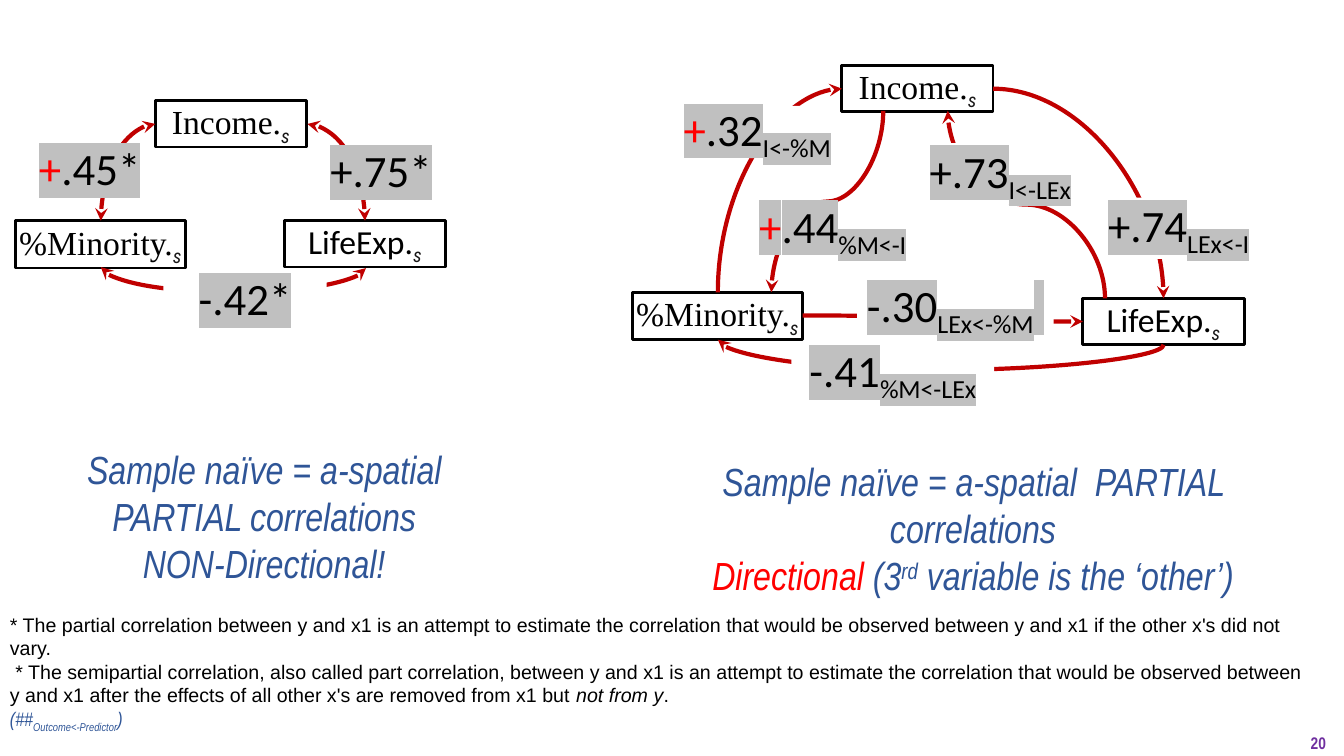
from dataclasses import dataclass

from lxml.etree import SubElement
from pptx import Presentation
from pptx.dml.color import RGBColor
from pptx.enum.shapes import MSO_CONNECTOR as Connector, MSO_SHAPE as Shape
from pptx.enum.text import MSO_ANCHOR as Anchor, PP_ALIGN as Align
from pptx.oxml import parse_xml
from pptx.oxml.ns import nsdecls, qn
from pptx.util import Inches, Pt


@dataclass(frozen=True)
class Theme:
    black: str = "000000"
    white: str = "FFFFFF"
    subscript: str = "181717"
    arrow: str = "C00000"
    red: str = "FF0000"
    blue: str = "2F5597"
    purple: str = "7030A0"
    highlight: str = "C0C0C0"
    value_size: int = 32
    caption_size: int = 28
    node_size: int = 24
    note_size: int = 14
    number_size: int = 12
    serif: str = "Times New Roman"
    sans: str = "Calibri"
    condensed: str = "Roboto Condensed"
    narrow: str = "Arial Narrow"
    plain: str = "Arial"


def span(text, **style):
    return text, style


class PathDiagram:
    def __init__(self, slide, theme):
        self.slide = slide
        self.theme = theme

    def fill_text(self, shape, paragraphs, align=Align.CENTER, anchor=Anchor.MIDDLE,
                  wrap=True, margins=(0, 0), **base):
        frame = shape.text_frame
        frame.word_wrap = wrap
        frame.vertical_anchor = anchor
        frame.margin_left = frame.margin_right = Inches(margins[0])
        frame.margin_top = frame.margin_bottom = Inches(margins[1])
        for index, spans in enumerate(paragraphs):
            paragraph = frame.add_paragraph() if index else frame.paragraphs[0]
            paragraph.alignment = align
            for text, style in spans:
                self.style_run(paragraph.add_run(), text, **{**base, **style})

    def style_run(self, run, text, size, face, color, bold=False, italic=False,
                  baseline=0, highlight=None):
        run.text = text
        font = run.font
        font.size, font.bold, font.italic = Pt(size), bold, italic
        font.color.rgb = RGBColor.from_string(color)
        properties = run._r.get_or_add_rPr()
        if baseline:
            properties.set("baseline", str(baseline * 1000))
        if highlight:
            properties.find(qn("a:solidFill")).addnext(parse_xml(
                f'<a:highlight {nsdecls("a")}><a:srgbClr val="{highlight}"/></a:highlight>'))
        font.name = face

    def box(self, left, top, width, height):
        shape = self.slide.shapes.add_shape(
            Shape.RECTANGLE, Inches(left), Inches(top), Inches(width), Inches(height))
        shape.shadow.inherit = False
        return shape

    def node(self, left, top, width, variable, face, height=0.46):
        theme = self.theme
        node = self.box(left, top, width, height)
        node.fill.background()
        node.line.color.rgb = RGBColor.from_string(theme.black)
        node.line.width = Pt(2)
        subscript = span("s", face=theme.condensed, color=theme.subscript,
                         italic=True, baseline=-25)
        self.fill_text(node, [[span(variable + "."), subscript]], wrap=False,
                       size=theme.node_size, face=face, color=theme.black)

    def value(self, left, top, width, height, number, relation="", tail="", red_plus=False):
        theme = self.theme
        label = self.box(left, top, width, height)
        label.fill.solid()
        label.fill.fore_color.rgb = RGBColor.from_string(theme.white)
        label.line.fill.background()
        spans = [span("+", color=theme.red)] if red_plus else []
        spans += [span(number), span(relation, baseline=-25), span(tail)]
        self.fill_text(label, [[part for part in spans if part[0]]], size=theme.value_size,
                       face=theme.sans, color=theme.black, highlight=theme.highlight)

    def text(self, left, top, width, height, paragraphs, **style):
        area = self.slide.shapes.add_textbox(
            Inches(left), Inches(top), Inches(width), Inches(height))
        self.fill_text(area, paragraphs, **style)

    def curve(self, start, end, heads, upright=True, corner=False, dip=None):
        (x1, y1), (x2, y2) = start, end
        width, height = x2 - x1, abs(y2 - y1)
        left, top = x1, min(y1, y2)
        if upright:
            left, top = left + (width - height) / 2, top + (height - width) / 2
            width, height = height, width
        link = self.slide.shapes.add_connector(
            Connector.CURVE, Inches(left), Inches(top),
            Inches(left + width), Inches(top + height))
        link.line.color.rgb = RGBColor.from_string(self.theme.arrow)
        link.line.width = Pt(3)
        properties = link._element.spPr
        if upright:
            rising = y2 < y1
            properties.xfrm.set("rot", str((90 if rising else 270) * 60000))
            properties.xfrm.set("flipH", "1")
            if rising:
                properties.xfrm.set("flipV", "1")
        geometry = properties.find(qn("a:prstGeom"))
        if corner:
            geometry.set("prst", "curvedConnector2")
        if dip:
            SubElement(geometry.find(qn("a:avLst")), qn("a:gd"), name="adj1",
                       fmla=f"val {round(dip / width * 100000)}")
        outline = properties.find(qn("a:ln"))
        for side in heads:
            SubElement(outline, qn(f"a:{side}End"), type="stealth")
        SubElement(properties, qn("a:effectLst"))


def main():
    theme = Theme()
    deck = Presentation()
    deck.slide_width, deck.slide_height = Inches(13.33), Inches(7.5)
    diagram = PathDiagram(deck.slides.add_slide(deck.slide_layouts[6]), theme)
    both, forward, backward = ("head", "tail"), ("tail",), ("head",)

    diagram.node(0.15, 2.19, 1.69, "%Minority", theme.serif, height=0.47)
    diagram.node(1.54, 1, 1.5, "Income", theme.serif)
    diagram.node(2.82, 2.19, 1.6, "LifeExp", theme.sans)
    diagram.curve((1, 2.19), (1.54, 1.23), both, corner=True)
    diagram.curve((3.05, 1.23), (3.62, 2.19), both, upright=False, corner=True)
    diagram.curve((1, 2.65), (3.63, 2.66), both, dip=0.25)

    diagram.text(0, 6.03, 13.11, 1.51, [
        [span("* The partial correlation between y and x1 is an attempt to estimate the "
              "correlation that would be observed between y and x1 if the other x's did not vary.")],
        [span(" * The semipartial correlation, also called part correlation, between y and x1 "
              "is an attempt to estimate the correlation that would be observed between y and x1 "
              "after the effects of all other x's are removed from x1 but "),
         span("not from y", italic=True), span(".")],
        [span(text, face=theme.narrow, color=theme.blue, italic=True, baseline=baseline)
         for text, baseline in (("(##", 0), ("Outcome<-Predictor", -25), (")", 0))],
    ], align=Align.LEFT, anchor=Anchor.TOP, margins=(0.1, 0.05),
        size=theme.note_size, face=theme.plain, color=theme.black)

    caption = dict(anchor=Anchor.TOP, size=theme.caption_size, face=theme.narrow,
                   color=theme.blue, italic=True)
    diagram.text(0.59, 4.42, 4.06, 1.48, [
        [span("Sample naïve = a-spatial PARTIAL correlations")],
        [span("NON-Directional!")],
    ], **caption)
    diagram.value(2.97, 1.49, 1.62, 0.39, "+.75*")
    diagram.value(0.08, 1.47, 1.62, 0.39, ".45*", red_plus=True)
    diagram.value(1.62, 2.76, 1.62, 0.39, "-.42*")
    diagram.text(12.77, 7.25, 0.48, 0.23, [[span("20")]], align=Align.RIGHT,
                 margins=(0.1, 0.05), size=theme.number_size, face=theme.narrow,
                 color=theme.purple, bold=True)

    diagram.node(6.27, 2.9, 1.69, "%Minority", theme.serif, height=0.47)
    diagram.node(8.35, 0.65, 1.5, "Income", theme.serif)
    diagram.node(10.74, 2.96, 1.6, "LifeExp", theme.sans)
    diagram.curve((7.12, 2.9), (8.35, 0.88), forward, corner=True)
    diagram.curve((9.85, 0.88), (11.54, 2.96), forward, upright=False, corner=True)
    diagram.curve((7.96, 3.13), (10.74, 3.19), forward, upright=False)
    diagram.value(10.92, 1.96, 1.54, 0.61, "+.74", "LEx<-I")
    diagram.value(8.5, 2.83, 1.95, 0.46, "-.30", "LEx<-%M", tail=" ")
    diagram.text(6.95, 4.54, 5.4, 1.37, [
        [span("Sample naïve = a-spatial  PARTIAL correlations")],
        [span("Directional", color=theme.red), span(" (3"), span("rd", baseline=30),
         span(" variable is the ‘other’)")],
    ], **caption)
    diagram.curve((7.65, 2.9), (8.76, 1.1), backward)
    diagram.curve((9.4, 1.1), (10.96, 2.96), backward)
    diagram.curve((7.12, 3.37), (11.54, 3.42), backward, dip=0.3)
    diagram.value(6.71, 1.05, 1.6, 0.52, ".32", "I<-%M", red_plus=True)
    diagram.value(9.15, 1.42, 1.54, 0.61, "+.73", "I<-LEx")
    diagram.value(7.85, 3.46, 2.01, 0.49, "-.41", "%M<-LEx")
    diagram.value(7.46, 2.01, 1.6, 0.52, ".44", "%M<-I", red_plus=True)

    deck.save("out.pptx")


if __name__ == "__main__":
    main()
